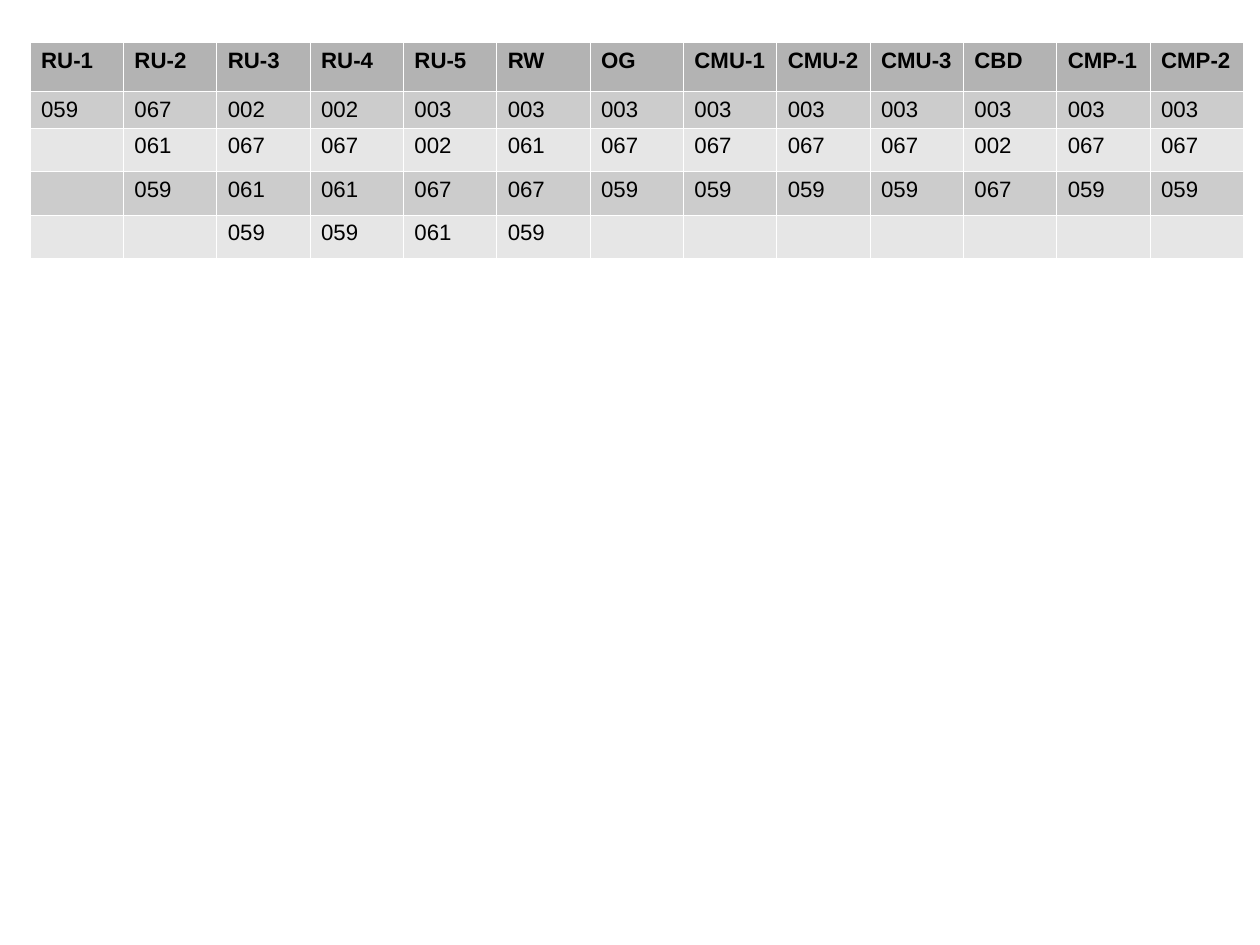
from lxml.etree import SubElement
from pptx import Presentation
from pptx.dml.color import RGBColor
from pptx.oxml.ns import qn
from pptx.util import Inches, Pt

COLORS = {
    "header": "B3B3B3",
    "odd": "CCCCCC",
    "even": "E6E6E6",
    "border": "FFFFFF",
    "text": "000000",
}
FONT_SIZE = Pt(14)
CM_PER_INCH = 2.54

# Zones and the codes listed under each
zones = {
    "RU-1": ["059"],
    "RU-2": ["067", "061", "059"],
    "RU-3": ["002", "067", "061", "059"],
    "RU-4": ["002", "067", "061", "059"],
    "RU-5": ["003", "002", "067", "061"],
    "RW": ["003", "061", "067", "059"],
    "OG": ["003", "067", "059"],
    "CMU-1": ["003", "067", "059"],
    "CMU-2": ["003", "067", "059"],
    "CMU-3": ["003", "067", "059"],
    "CBD": ["003", "002", "067"],
    "CMP-1": ["003", "067", "059"],
    "CMP-2": ["003", "067", "059"],
}
row_heights = [0.43, 0.32, 0.38, 0.38, 0.38]


def add_borders(cell):
    properties = cell._tc.get_or_add_tcPr()
    for side in ("a:lnL", "a:lnR", "a:lnT", "a:lnB"):
        line = SubElement(properties, qn(side), w=str(Pt(0.06)))
        fill = SubElement(line, qn("a:solidFill"))
        SubElement(fill, qn("a:srgbClr"), val=COLORS["border"])


# Slide of 28 by 21 cm
prs = Presentation()
prs.slide_width = Inches(28 / CM_PER_INCH)
prs.slide_height = Inches(21 / CM_PER_INCH)
slide = prs.slides.add_slide(prs.slide_layouts[6])

# Zone table
zone_table = slide.shapes.add_table(
    len(row_heights), len(zones),
    Inches(0.26), Inches(0.37), Inches(10.62), Inches(sum(row_heights)),
).table
for row, height in zip(zone_table.rows, row_heights):
    row.height = Inches(height)

# One column per zone: heading, then its codes
for column, (zone, codes) in enumerate(zones.items()):
    entries = [zone] + codes
    for row in range(len(row_heights)):
        cell = zone_table.cell(row, column)
        add_borders(cell)
        band = "header" if row == 0 else "odd" if row % 2 else "even"
        cell.fill.solid()
        cell.fill.fore_color.rgb = RGBColor.from_string(COLORS[band])
        if row == 0:
            # Room for the widest headings on one line
            cell.margin_right = Inches(0.08)
        paragraph = cell.text_frame.paragraphs[0]
        if row < len(entries):
            run = paragraph.add_run()
            run.text = entries[row]
            run.font.name = "Arial"
            run.font.size = FONT_SIZE
            run.font.bold = row == 0
            run.font.color.rgb = RGBColor.from_string(COLORS["text"])
        else:
            # Keep empty cells from stretching their row
            SubElement(paragraph._p, qn("a:endParaRPr"), sz="1400")

prs.save("out.pptx")
